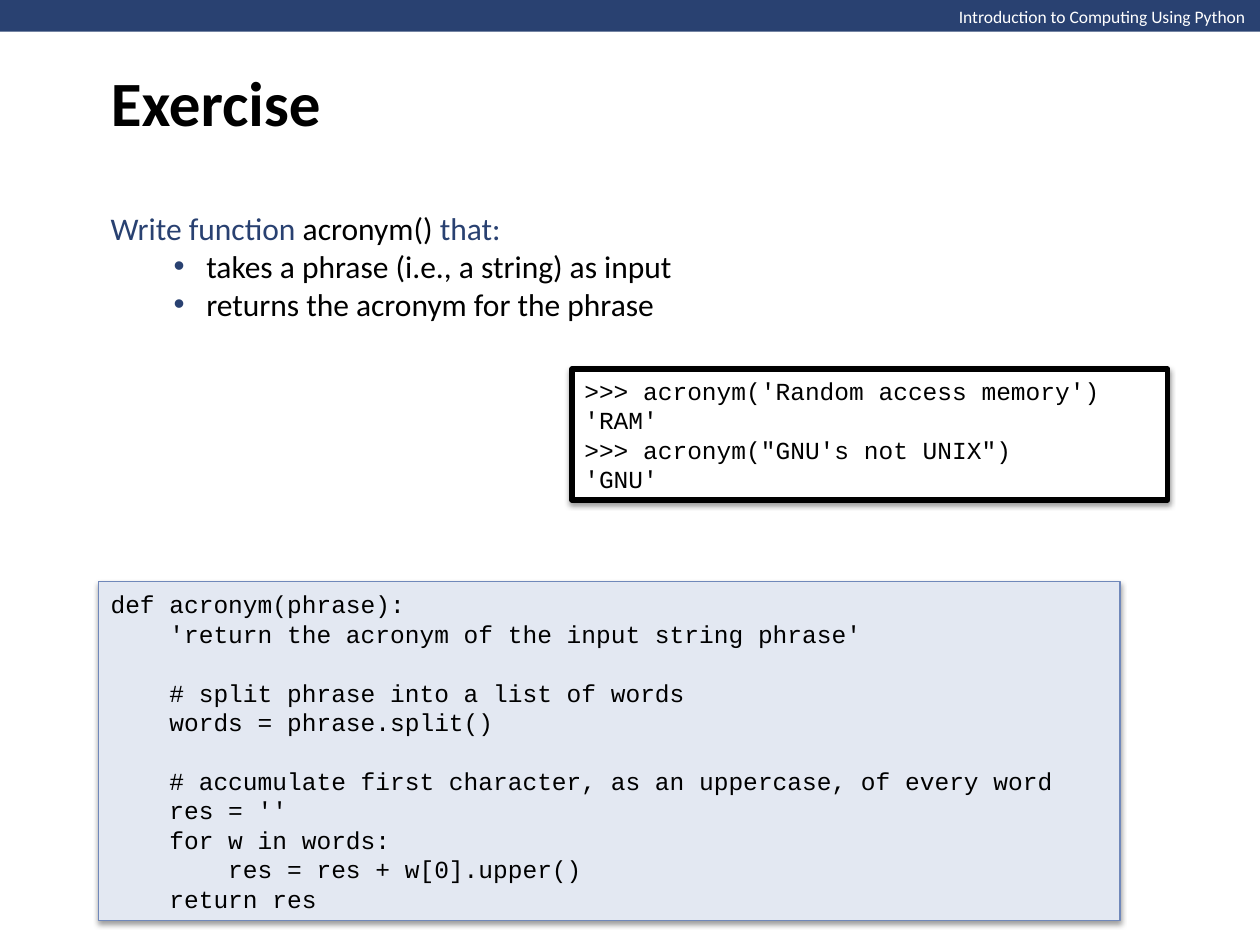
from dataclasses import dataclass

from lxml import etree
from pptx import Presentation
from pptx import util as u
from pptx.dml.color import RGBColor
from pptx.enum import shapes, text
from pptx.oxml.ns import qn


@dataclass(frozen=True)
class Theme:
    navy: str = "294171"
    pale: str = "E3E8F2"
    edge: str = "7088BA"
    black: str = "000000"
    white: str = "FFFFFF"
    body_font: str = "Calibri"
    code_font: str = "Courier New"
    title_size: float = 36
    body_size: float = 18
    code_size: float = 14
    header_size: float = 10
    code_gap: float = 16.8


THEME = Theme()


def add_run(p, content, size=THEME.body_size, font=THEME.body_font,
            color=THEME.black, bold=False):
    """Add formatted text to a paragraph."""
    r = p.add_run()
    r.text = content
    f = r.font
    f.size, f.name, f.bold = u.Pt(size), font, bold
    f.color.rgb = RGBColor.from_string(color)


def add_bullet(p, color, left, hanging):
    """Give a paragraph a coloured round bullet with a hanging indent."""
    pPr = p._p.get_or_add_pPr()
    pPr.set("marL", str(u.Cm(left)))
    pPr.set("indent", str(-u.Cm(hanging)))
    clr = etree.SubElement(pPr, qn("a:buClr"))
    etree.SubElement(clr, qn("a:srgbClr"), val=color)
    etree.SubElement(pPr, qn("a:buFont"), typeface="Arial")
    etree.SubElement(pPr, qn("a:buChar"), char="•")


def add_shadow(sp):
    """Cast a soft shadow straight down."""
    effects = sp._element.spPr.find(qn("a:effectLst"))
    shadow = etree.SubElement(
        effects, qn("a:outerShdw"), blurRad=str(u.Pt(3.1)),
        dist=str(u.Pt(1.6)), dir="5400000", rotWithShape="0")
    clr = etree.SubElement(shadow, qn("a:srgbClr"), val=THEME.black)
    etree.SubElement(clr, qn("a:alpha"), val="38000")


class SlideBuilder:
    def __init__(self, s, theme):
        self.s, self.theme = s, theme

    def title(self, content, *box):
        sp = self.s.shapes.title
        sp.left, sp.top, sp.width, sp.height = map(u.Cm, box)
        tf = sp.text_frame
        tf.auto_size = text.MSO_AUTO_SIZE.NONE
        tf.vertical_anchor = text.MSO_ANCHOR.MIDDLE
        p = tf.paragraphs[0]
        p.alignment = text.PP_ALIGN.LEFT
        add_run(p, content, size=self.theme.title_size, bold=True)

    def rect(self, *box, fill, line=None, width=0):
        sp = self.s.shapes.add_shape(shapes.MSO_SHAPE.RECTANGLE, *map(u.Cm, box))
        sp.shadow.inherit = False
        sp.fill.solid()
        sp.fill.fore_color.rgb = RGBColor.from_string(fill)
        if line:
            sp.line.color.rgb = RGBColor.from_string(line)
            sp.line.width = u.Pt(width)
        else:
            sp.line.fill.background()
        return sp

    def textbox(self, *box, wrap=True):
        tf = self.s.shapes.add_textbox(*map(u.Cm, box)).text_frame
        tf.word_wrap = wrap
        tf.auto_size = text.MSO_AUTO_SIZE.SHAPE_TO_FIT_TEXT
        return tf

    def code(self, listing, *box, **style):
        """Add a code panel; an empty line becomes space before the next."""
        sp = self.rect(*box, **style)
        add_shadow(sp)
        tf = sp.text_frame
        tf.word_wrap = True
        tf.auto_size = text.MSO_AUTO_SIZE.SHAPE_TO_FIT_TEXT
        tf.vertical_anchor = text.MSO_ANCHOR.MIDDLE
        p, gap = tf.paragraphs[0], 0
        for i, row in enumerate(listing.strip().split("\n")):
            if not row:
                gap = self.theme.code_gap
                continue
            if i:
                p = tf.add_paragraph()
            p.alignment = text.PP_ALIGN.LEFT
            if gap:
                p.space_before = u.Pt(gap)
                gap = 0
            add_run(p, row, size=self.theme.code_size, font=self.theme.code_font)


SESSION = """
>>> acronym('Random access memory')
'RAM'
>>> acronym("GNU's not UNIX")
'GNU'
"""

SOLUTION = """
def acronym(phrase):
    'return the acronym of the input string phrase'

    # split phrase into a list of words
    words = phrase.split()

    # accumulate first character, as an uppercase, of every word
    res = ''
    for w in words:
        res = res + w[0].upper()
    return res
"""


def main():
    t = THEME
    prs = Presentation()
    prs.slide_width, prs.slide_height = u.Cm(25.4), u.Cm(19.05)
    s = prs.slides.add_slide(prs.slide_layouts[5])
    b = SlideBuilder(s, t)
    margin = 1.98

    # Header band
    b.rect(0, 0, 25.43, 0.64, fill=t.navy)
    tf = b.textbox(19.08, 0, 6.35, 0.69, wrap=False)
    add_run(tf.paragraphs[0], "Introduction to Computing Using Python",
            size=t.header_size, color=t.white)

    b.title("Exercise", margin, 0, 21.59, 4.09)

    # Sample session
    b.code(SESSION, 11.53, 7.44, 12.01, 2.64,
           fill=t.white, line=t.black, width=3)

    # Task
    tf = b.textbox(margin, 4.09, 12.8, 2.57)
    p = tf.paragraphs[0]
    add_run(p, "Write function ", color=t.navy)
    add_run(p, "acronym()")
    add_run(p, " that:", color=t.navy)
    for item in ("takes a phrase (i.e., a string) as input",
                 "returns the acronym for the phrase"):
        p = tf.add_paragraph()
        p.level = 1
        add_bullet(p, t.navy, left=1.93, hanging=0.66)
        add_run(p, item)

    # Solution
    b.code(SOLUTION, margin, 11.73, 20.6, 6.83,
           fill=t.pale, line=t.edge, width=0.75)

    prs.save("out.pptx")


if __name__ == "__main__":
    main()
